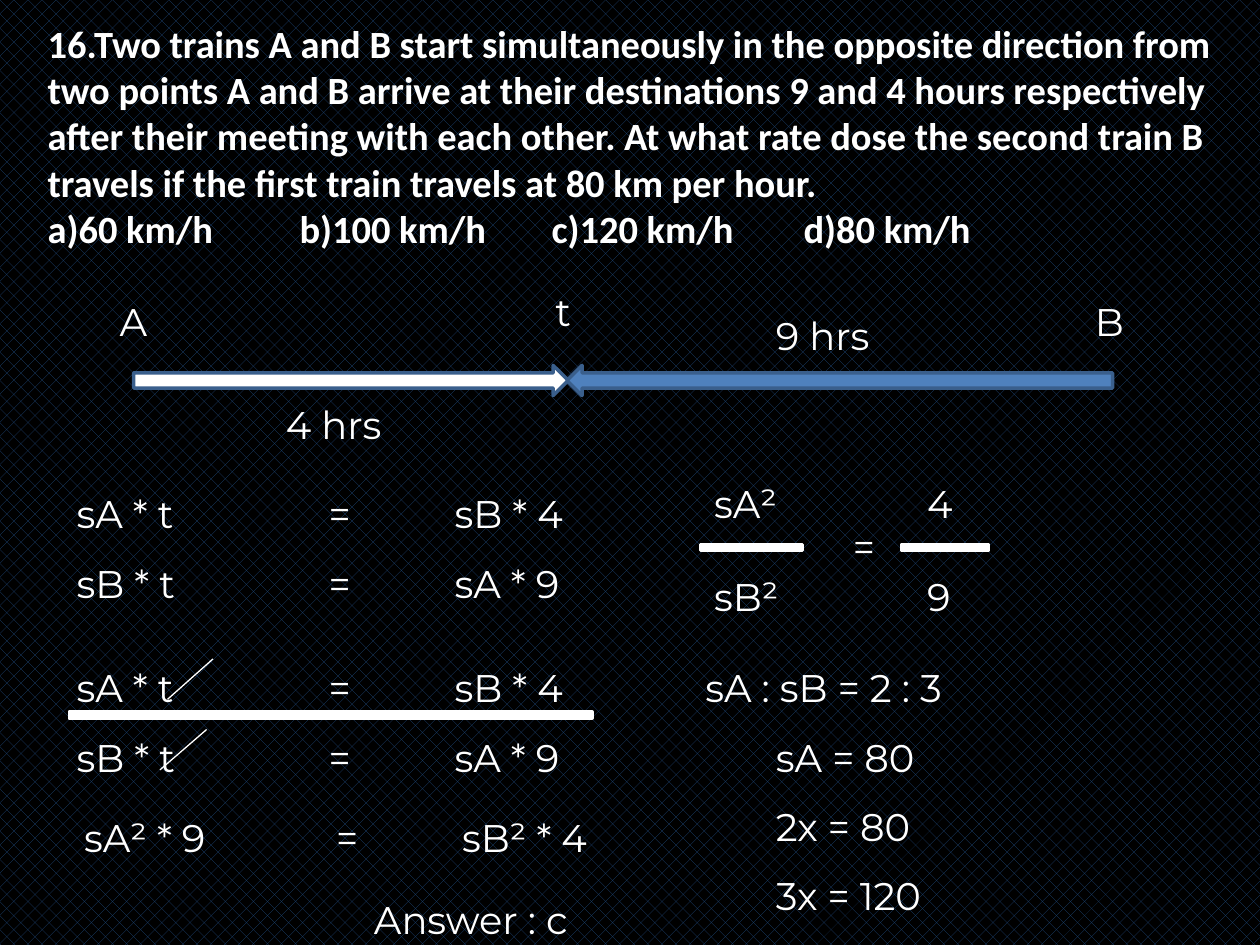
from dataclasses import dataclass

from lxml import etree
from pptx import Presentation
from pptx.dml.color import RGBColor
from pptx.enum.dml import MSO_PATTERN
from pptx.enum.shapes import MSO_CONNECTOR, MSO_SHAPE as Shape
from pptx.enum.text import MSO_AUTO_SIZE
from pptx.oxml.ns import qn
from pptx.util import Inches, Pt


@dataclass(frozen=True)
class Theme:
    white: str = "FFFFFF"
    black: str = "000000"
    navy: str = "1F497D"
    blue: str = "4F81BD"
    outline: str = "3A5F8C"
    heading_font: str = "Calibri"
    body_font: str = "Montserrat"
    size: float = 22
    outline_width: float = 2
    strike_width: float = 0.75


THEME = Theme()

# "\v" is a line break inside a paragraph
QUESTION = (
    "16.Two trains A and B start simultaneously in the opposite direction from "
    "two points A and B arrive at their destinations 9 and 4 hours respectively "
    "after their meeting with each other. At what rate dose the second train B "
    "travels if the first train travels at 80 km per hour. \v"
    "a)60 km/h\u00a0\tb)100 km/h\u00a0\tc)120 km/h\u00a0\td)80 km/h"
)
EQUATIONS = ["sA * t\t= \tsB * 4", "sB * t\t= \tsA * 9"]
PRODUCT = ["sA² * 9\t= \tsB² * 4"]
SOLUTION = ["sA : sB = 2 : 3", "sA = 80", "2x = 80", "3x = 120"]

# text, left, top, width
TRACK_LABELS = [
    ("A", 0.85, 2.32, 0.49),
    ("B", 8.59, 2.32, 0.49),
    ("9 hrs", 6.06, 2.43, 1.21),
    ("4 hrs", 2.17, 3.13, 1.21),
    ("t", 4.31, 2.24, 0.39),
]
# preset, left, width, fill
TRAINS = [
    (Shape.RIGHT_ARROW, 1.06, 3.45, THEME.white),
    (Shape.LEFT_ARROW, 4.5, 4.33, THEME.blue),
]
TRACK_TOP, TRACK_HEIGHT = 2.9, 0.24
# numerator, denominator, text left, indent, bar left, bar width
FRACTIONS = [
    ("sA²", "sB²", 5.57, 0, 5.56, 0.81),
    ("4", "9", 7.18, 0.08, 7.16, 0.68),
]
FRACTION_TOP, FRACTION_BAR_TOP, FRACTION_GAP = 3.76, 4.32, 26.8
EQUATION_TOPS = [3.66, 5.04]
EQUATION_TABS = (2, 3)
# left, top, width of the rule between the two multiplied equations
PRODUCT_RULE = (0.55, 5.65, 4.15)
BAR_HEIGHT = 0.05
# start and end of the strokes cancelling each t
STRIKES = [(1.69, 5.23, 1.33, 5.55), (1.64, 5.79, 1.27, 6.11)]


def color(value):
    return RGBColor.from_string(value)


def add_text(slide, lines, left, top, width, height=0.47, font=THEME.body_font,
             bold=False, spacing=None, gap=0, tabs=(), indents=(), wrap=True):
    """Add one paragraph per line; gap is in points, tabs and indents in inches."""
    box = slide.shapes.add_textbox(*map(Inches, (left, top, width, height)))
    frame = box.text_frame
    frame.word_wrap = wrap
    frame.auto_size = MSO_AUTO_SIZE.SHAPE_TO_FIT_TEXT
    for index, line in enumerate(lines):
        paragraph = frame.paragraphs[0] if index == 0 else frame.add_paragraph()
        paragraph.text = line
        properties = paragraph._p.get_or_add_pPr()
        if indents:
            properties.set("marL", str(Inches(indents[index])))
        if spacing:
            paragraph.line_spacing = spacing
        if gap and index:
            paragraph.space_before = Pt(gap)
        if tabs:
            tab_list = etree.SubElement(properties, qn("a:tabLst"))
            for position in tabs:
                etree.SubElement(tab_list, qn("a:tab"),
                                 pos=str(Inches(position)), algn="l")
        for run in paragraph.runs:
            run.font.name = font
            run.font.size = Pt(THEME.size)
            run.font.bold = bold
            run.font.color.rgb = color(THEME.white)


def add_block(slide, preset, left, top, width, height, fill, outline):
    shape = slide.shapes.add_shape(preset, *map(Inches, (left, top, width, height)))
    shape.shadow.inherit = False
    shape.fill.solid()
    shape.fill.fore_color.rgb = color(fill)
    shape.line.color.rgb = color(outline)
    shape.line.width = Pt(THEME.outline_width)


def add_bar(slide, left, top, width):
    add_block(slide, Shape.RECTANGLE, left, top, width, BAR_HEIGHT,
              THEME.white, THEME.white)


def add_strike(slide, *ends):
    line = slide.shapes.add_connector(MSO_CONNECTOR.STRAIGHT, *map(Inches, ends))
    line.line.color.rgb = color(THEME.white)
    line.line.width = Pt(THEME.strike_width)
    etree.SubElement(line._element.spPr, qn("a:effectLst"))


def main():
    presentation = Presentation()
    presentation.slide_width, presentation.slide_height = Inches(10), Inches(7.5)
    slide = presentation.slides.add_slide(presentation.slide_layouts[6])
    background = slide.background.fill
    background.patterned()
    background.pattern = MSO_PATTERN.PERCENT_25
    background.fore_color.rgb = color(THEME.navy)
    background.back_color.rgb = color(THEME.black)

    add_text(slide, [QUESTION], 0.28, 0.11, 9.53, 1.95,
             font=THEME.heading_font, bold=True, tabs=(2, 4, 6))

    for preset, left, width, fill in TRAINS:
        add_block(slide, preset, left, TRACK_TOP, width, TRACK_HEIGHT,
                  fill, THEME.outline)
    for label, left, top, width in TRACK_LABELS:
        add_text(slide, [label], left, top, width)

    for top in EQUATION_TOPS:
        add_text(slide, EQUATIONS, 0.51, top, 4.34, 1.21,
                 spacing=1.5, tabs=EQUATION_TABS)
    add_bar(slide, *PRODUCT_RULE)
    for ends in STRIKES:
        add_strike(slide, *ends)
    add_text(slide, PRODUCT, 0.57, 6.41, 4.47, tabs=EQUATION_TABS)

    for numerator, denominator, left, indent, bar_left, bar_width in FRACTIONS:
        add_text(slide, [numerator, denominator], left, FRACTION_TOP, 0.86, 1.21,
                 gap=FRACTION_GAP, indents=(indent, indent))
        add_bar(slide, bar_left, FRACTION_BAR_TOP, bar_width)
    add_text(slide, ["="], 6.67, 4.1, 0.51, wrap=False)

    add_text(slide, SOLUTION, 5.5, 5.04, 4.07, 2.32,
             spacing=1.5, indents=(0, 0.56, 0.56, 0.56))
    add_text(slide, ["Answer : c"], 2.87, 6.88, 1.97, 0.6, spacing=1.5, wrap=False)

    presentation.save("out.pptx")


if __name__ == "__main__":
    main()
